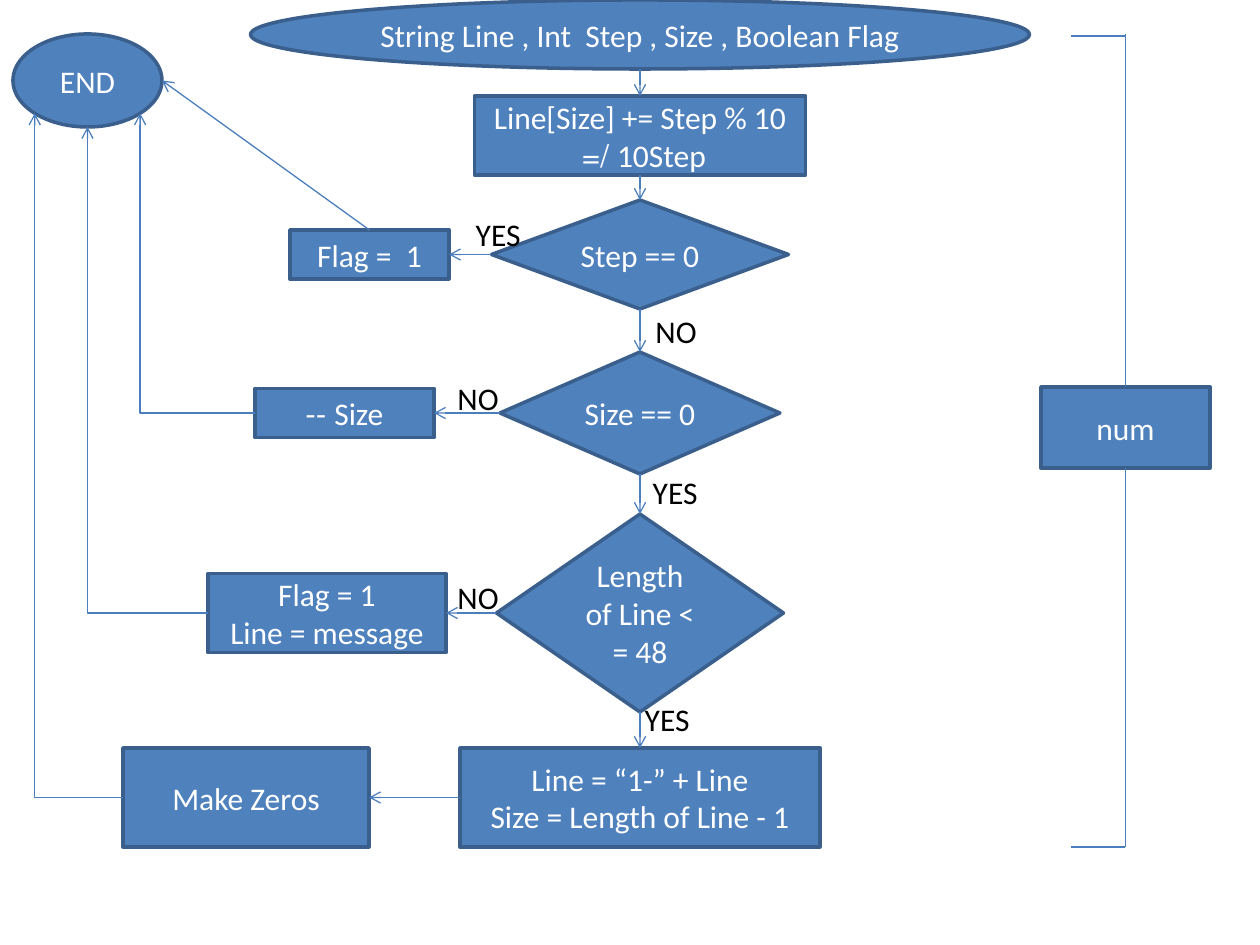
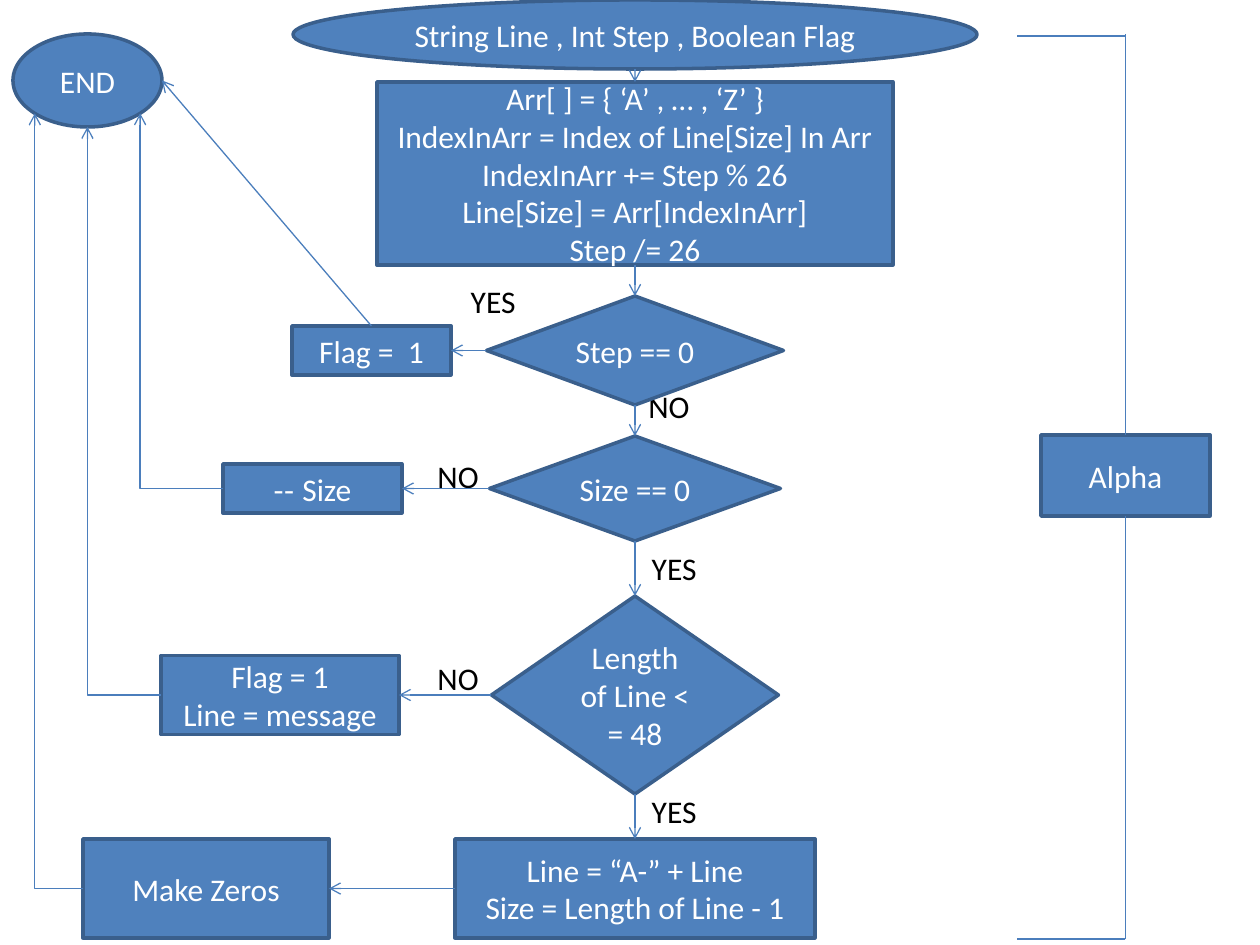
from pptx import Presentation
from pptx.dml.color import RGBColor
from pptx.enum.shapes import MSO_CONNECTOR as LINK, MSO_SHAPE as SHAPE
from pptx.enum.text import MSO_ANCHOR, MSO_AUTO_SIZE, PP_ALIGN
from pptx.oxml.ns import qn
from pptx.oxml.xmlchemy import OxmlElement
from pptx.util import Emu, Inches, Pt

FILL = RGBColor(0x4F, 0x81, 0xBD)
OUTLINE = RGBColor(0x3A, 0x5F, 0x8C)
LINK_COLOR = RGBColor(0x4B, 0x7E, 0xBC)
WHITE = RGBColor(0xFF, 0xFF, 0xFF)
BLACK = RGBColor(0x00, 0x00, 0x00)
FONT = "Calibri"
PIXEL = Inches(1) / 126

# Content. Main steps: name, top, width, height, lines (centred on the axis)
# Labels: text, left, top
CHARTS = [
    {
        "axis": 640,
        "steps": [
            ("start", 0, 779, 69, ["String Line , Int  Step , Size , Boolean Flag"]),
            ("update", 96, 331, 79, ["Line[Size] += Step % 10", "10Step /= "]),
            ("step test", 200, 297, 109, ["Step == 0"]),
            ("size test", 352, 280, 122, ["Size == 0"]),
            ("length test", 514, 287, 198, ["Length of Line < = 48"]),
            ("prefix", 748, 360, 99, ["Line = “1-” + Line", "Size = Length of Line - 1"]),
        ],
        "branch_lefts": [290, 255, 208, 123],
        "labels": [("YES", 626, 694), ("YES", 634, 467), ("YES", 457, 209),
                   ("NO", 640, 306), ("NO", 442, 373), ("NO", 442, 572)],
        "labels_behind": False,
        "title": ("num", 387),
        "bracket": (1071, 847),
    },
    {
        "axis": 635,
        "steps": [
            ("start", 0, 684, 69, ["String Line , Int Step , Boolean Flag"]),
            ("update", 82, 516, 183, [
                "Arr[ ] = { ‘A’ , … , ‘Z’ }",
                "IndexInArr = Index of Line[Size] In Arr",
                "IndexInArr += Step % 26",
                "Line[Size] = Arr[IndexInArr]",
                "Step /= 26"]),
            ("step test", 296, 297, 109, ["Step == 0"]),
            ("size test", 436, 291, 105, ["Size == 0"]),
            ("length test", 596, 287, 198, ["Length of Line < = 48"]),
            ("prefix", 839, 360, 99, ["Line = “A-” + Line", "Size = Length of Line - 1"]),
        ],
        "branch_lefts": [292, 223, 161, 83],
        "labels": [("YES", 452, 276), ("YES", 633, 543), ("YES", 633, 786),
                   ("NO", 633, 381), ("NO", 422, 451), ("NO", 422, 653)],
        "labels_behind": True,
        "title": ("Alpha", 435),
        "bracket": (1017, 939),
    },
]

# Branches: source step, width, height, lines, side of END they reach
BRANCHES = [
    ("step test", 159, 49, ["Flag =  1"], "right"),
    ("size test", 179, 49, ["Size --"], "bottom right"),
    ("length test", 238, 79, ["Flag = 1", "Line = message"], "bottom"),
    ("prefix", 246, 99, ["Make Zeros"], "bottom left"),
]
END_BOX = (13, 34, 149, 93)
TITLE_LEFT, TITLE_WIDTH, TITLE_HEIGHT = 1041, 169, 81
BRACKET_TOP, TICK_TOP = 34, 36
LABEL_WIDTHS = {"YES": 76, "NO": 69}
LABEL_HEIGHT = 50

# Connection sites: fraction of width and height, number on a box, on an ellipse
DIAGONAL = 0.5 ** 0.5 / 2
SITES = {
    "top": (0.5, 0, 0, 0),
    "left": (0, 0.5, 1, 2),
    "bottom": (0.5, 1, 2, 4),
    "right": (1, 0.5, 3, 6),
    "bottom left": (0.5 - DIAGONAL, 0.5 + DIAGONAL, None, 3),
    "bottom right": (0.5 + DIAGONAL, 0.5 + DIAGONAL, None, 5),
}


def emu(*pixels):
    return [Emu(round(value * PIXEL)) for value in pixels]


def write(shape, lines, color=WHITE, align=PP_ALIGN.CENTER, anchor=MSO_ANCHOR.MIDDLE):
    frame = shape.text_frame
    frame.word_wrap = True
    frame.vertical_anchor = anchor
    for index, line in enumerate(lines):
        paragraph = frame.add_paragraph() if index else frame.paragraphs[0]
        paragraph.alignment = align
        paragraph._p.get_or_add_pPr().set("rtl", "1")
        run = paragraph.add_run()
        run.text = line
        run.font.size = Pt(18)
        run.font.name = FONT
        run.font.color.rgb = color


def add_node(slide, kind, box, lines):
    shape = slide.shapes.add_shape(kind, *emu(*box))
    shape.shadow.inherit = False
    shape.fill.solid()
    shape.fill.fore_color.rgb = FILL
    shape.line.color.rgb = OUTLINE
    shape.line.width = Pt(2)
    write(shape, lines)
    return shape


def add_labels(slide, labels):
    for text, left, top in labels:
        box = slide.shapes.add_textbox(*emu(left, top, LABEL_WIDTHS[text], LABEL_HEIGHT))
        write(box, [text], color=BLACK, align=PP_ALIGN.RIGHT, anchor=MSO_ANCHOR.TOP)
        box.text_frame.auto_size = MSO_AUTO_SIZE.SHAPE_TO_FIT_TEXT


def add_line(slide, start, finish, kind=LINK.STRAIGHT):
    connector = slide.shapes.add_connector(kind, *start, *finish)
    connector.line.color.rgb = LINK_COLOR
    connector.line.width = Pt(0.75)
    connector.element.spPr.append(OxmlElement("a:effectLst"))
    return connector


def site_point(shape, site):
    across, down = SITES[site][:2]
    return (Emu(round(shape.left + across * shape.width)),
            Emu(round(shape.top + down * shape.height)))


def add_arrow(slide, source, source_site, target, target_site, bent=False):
    connector = add_line(slide, site_point(source, source_site),
                         site_point(target, target_site),
                         LINK.ELBOW if bent else LINK.STRAIGHT)
    properties = connector.element.spPr
    if bent:
        properties.find(qn("a:prstGeom")).set("prst", "bentConnector2")
    head = OxmlElement("a:tailEnd")
    head.set("type", "arrow")
    properties.find(qn("a:ln")).append(head)
    # Glue both ends to their shapes
    glue = connector.element.nvCxnSpPr.cNvCxnSpPr
    for end, shape, site in ((glue.get_or_add_stCxn(), source, source_site),
                             (glue.get_or_add_endCxn(), target, target_site)):
        is_ellipse = shape.auto_shape_type == SHAPE.OVAL
        end.id = shape.shape_id
        end.idx = SITES[site][3 if is_ellipse else 2]


def step_kind(name):
    if name == "start":
        return SHAPE.OVAL
    return SHAPE.FLOWCHART_DECISION if name.endswith("test") else SHAPE.RECTANGLE


def add_bracket(slide, title, top, tick_left, bottom):
    add_node(slide, SHAPE.RECTANGLE, (TITLE_LEFT, top, TITLE_WIDTH, TITLE_HEIGHT), [title])
    spine = TITLE_LEFT + TITLE_WIDTH / 2
    for edge, reach, tick in ((top, BRACKET_TOP, TICK_TOP),
                              (top + TITLE_HEIGHT, bottom, bottom)):
        add_line(slide, emu(spine, edge), emu(spine, reach))
        add_line(slide, emu(spine, tick), emu(tick_left, tick))


def build_chart(slide, chart):
    if chart["labels_behind"]:
        add_labels(slide, chart["labels"])

    # Main column
    nodes, middles = {}, {}
    for name, top, width, height, lines in chart["steps"]:
        box = (chart["axis"] - width / 2, top, width, height)
        nodes[name] = add_node(slide, step_kind(name), box, lines)
        middles[name] = top + height / 2
    column = list(nodes.values())
    for upper, lower in zip(column, column[1:]):
        add_arrow(slide, upper, "bottom", lower, "top")

    # Branches to END, each level with its source step
    end = add_node(slide, SHAPE.OVAL, END_BOX, ["END"])
    for left, (source, width, height, lines, site) in zip(chart["branch_lefts"], BRANCHES):
        box = (left, middles[source] - height / 2, width, height)
        branch = add_node(slide, SHAPE.RECTANGLE, box, lines)
        add_arrow(slide, nodes[source], "left", branch, "right")
        bent = site != "right"
        add_arrow(slide, branch, "left" if bent else "top", end, site, bent=bent)

    if not chart["labels_behind"]:
        add_labels(slide, chart["labels"])
    add_bracket(slide, *chart["title"], *chart["bracket"])


presentation = Presentation()
presentation.slide_width, presentation.slide_height = Inches(10), Inches(7.5)
for chart in CHARTS:
    build_chart(presentation.slides.add_slide(presentation.slide_layouts[6]), chart)
presentation.save("out.pptx")
